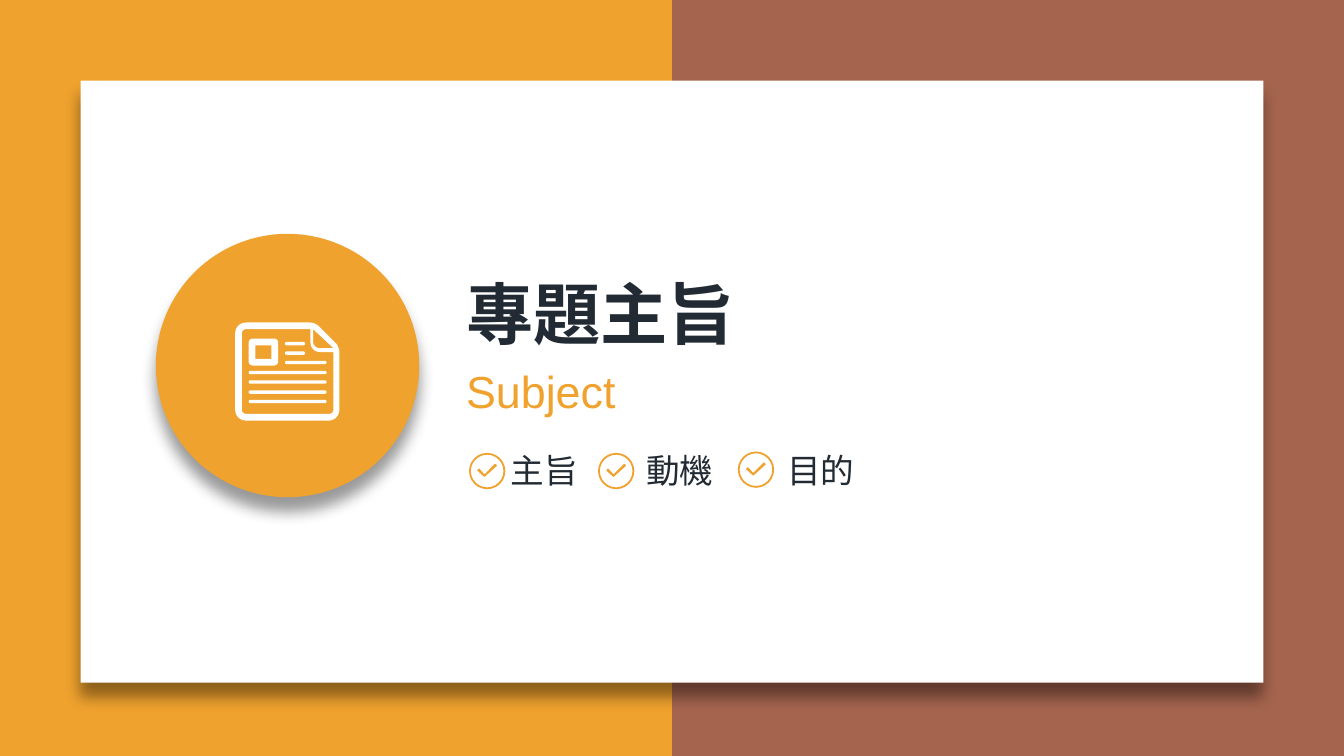
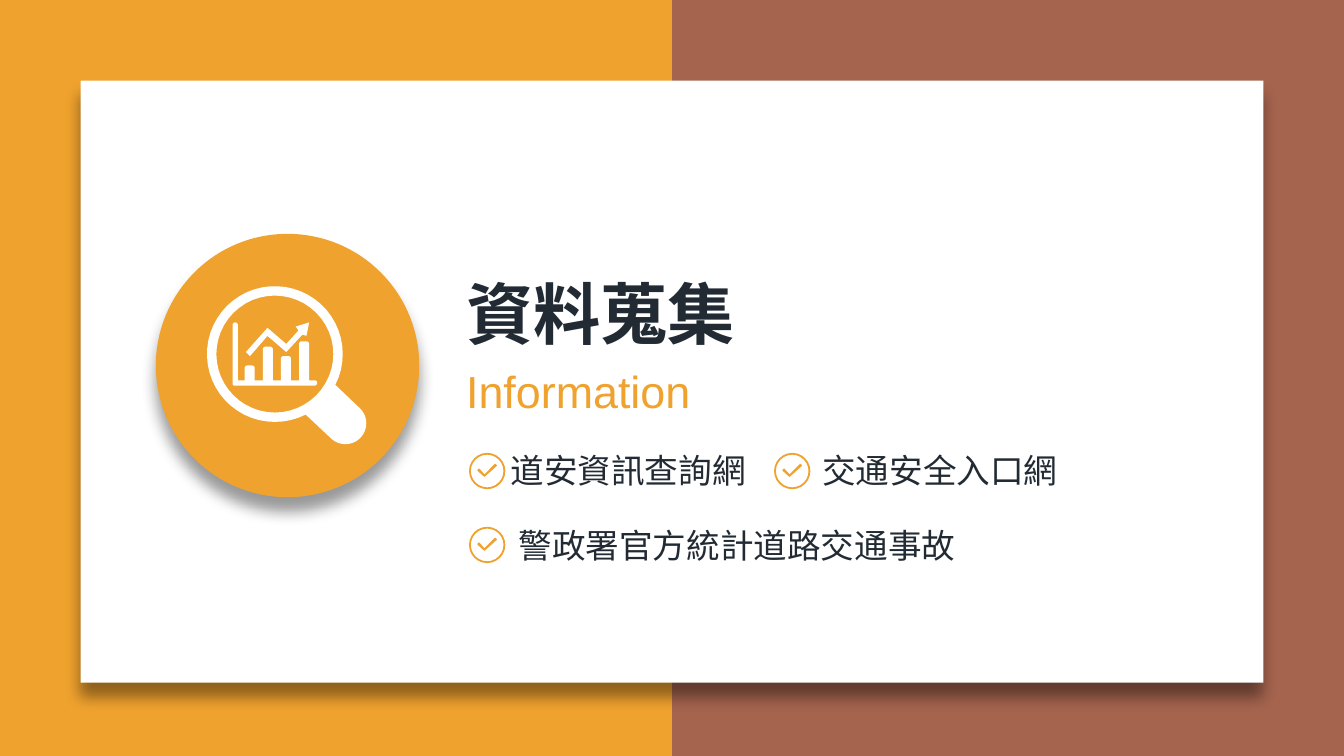
import math

import pptx
import pptx.dml.color
import pptx.enum.shapes
import pptx.enum.text
import pptx.oxml
import pptx.oxml.ns
import pptx.util

PX = 4572
SLIDE_WIDTH, SLIDE_HEIGHT = 2000, 1125

ORANGE = pptx.dml.color.RGBColor(0xF0, 0xA2, 0x2E)
BROWN = pptx.dml.color.RGBColor(0xA5, 0x64, 0x4E)
WHITE = pptx.dml.color.RGBColor(0xFF, 0xFF, 0xFF)
INK = pptx.dml.color.RGBColor(0x22, 0x2B, 0x34)

LATIN_FONT = "Arial"
CHINESE_FONT = "Noto Sans CJK SC"
SHAPES = pptx.enum.shapes.MSO_SHAPE

CARD = (120, 120, 1760, 896)
DISC = (232, 348, 392, 392)
TEXT_LEFT = 674
TITLE_TOP, SUBTITLE_TOP = 396, 532
CHECK_SIZE = 54
ROW_TOPS = (660, 772)

SHADOW = (
    f'<a:outerShdw {pptx.oxml.ns.nsdecls("a")} blurRad="101600" dist="101600" '
    'dir="5400000" algn="t" rotWithShape="0"><a:srgbClr val="000000">'
    '<a:alpha val="40000"/></a:srgbClr></a:outerShdw>'
)


def paint(shape, color, shadow=False):
    """Give a shape a plain fill, no line and, if asked, a soft shadow below."""
    shape.fill.solid()
    shape.fill.fore_color.rgb = color
    shape.line.fill.background()
    shape.shadow.inherit = False
    if shadow:
        effects = shape._element.spPr.find(pptx.oxml.ns.qn("a:effectLst"))
        effects.append(pptx.oxml.parse_xml(SHADOW))


def add_preset(shapes, kind, box, color, shadow=False):
    """Add a painted preset shape in a box given in px."""
    shape = shapes.add_shape(kind, *(length * PX for length in box))
    paint(shape, color, shadow)
    return shape


def add_text(slide, left, top, width, height, text, size, font, color, bold=False):
    """Add a one-line text box that grows with its text."""
    box = slide.shapes.add_textbox(left * PX, top * PX, width * PX, height * PX)
    frame = box.text_frame
    frame.word_wrap = False
    frame.auto_size = pptx.enum.text.MSO_AUTO_SIZE.SHAPE_TO_FIT_TEXT
    run = frame.paragraphs[0].add_run()
    run.text = text
    run.font.size = pptx.util.Pt(size)
    run.font.bold = bold
    run.font.name = font
    run.font.color.rgb = color
    east_asian = pptx.oxml.parse_xml(
        f'<a:ea {pptx.oxml.ns.nsdecls("a")} typeface="{font}"/>'
    )
    run.font._element.append(east_asian)


def arc(center_x, center_y, radius, start, end):
    """Return points along an arc, with angles in degrees running clockwise."""
    steps = 48
    angles = [math.radians(start + (end - start) * i / steps) for i in range(steps + 1)]
    return [
        (center_x + radius * math.cos(angle), center_y + radius * math.sin(angle))
        for angle in angles
    ]


def rounded(corners):
    """Turn (x, y, radius) corners into the points of an outline."""
    points = []
    for index, (x, y, radius) in enumerate(corners):
        if not radius:
            points.append((x, y))
            continue
        ends = []
        for near_x, near_y, _ in (corners[index - 1], corners[(index + 1) % len(corners)]):
            share = radius / math.hypot(near_x - x, near_y - y)
            ends.append(((near_x - x) * share, (near_y - y) * share))
        for step in range(9):
            t = step / 8
            first = (1 - t) ** 3 + 1.35 * t * (1 - t) ** 2
            last = t ** 3 + 1.35 * t ** 2 * (1 - t)
            points.append((
                x + first * ends[0][0] + last * ends[1][0],
                y + first * ends[0][1] + last * ends[1][1],
            ))
    return points


def rectangle(left, top, right, bottom, radius=0):
    """Return the outline of a rectangle with equal corners."""
    return rounded([
        (left, top, radius), (right, top, radius),
        (right, bottom, radius), (left, bottom, radius),
    ])


def add_outline(shapes, left, top, contours, color):
    """Add one freeform made of contours placed relative to left and top."""
    builder = None
    for contour in contours:
        start, *others = [(x * PX, y * PX) for x, y in contour]
        if builder is None:
            builder = shapes.build_freeform(*start, scale=1.0)
        else:
            builder.move_to(*start)
        builder.add_line_segments(others, close=True)
    paint(builder.convert_to_shape(left * PX, top * PX), color)


def add_check(slide, left, top):
    """Draw a ring with a tick inside."""
    group = slide.shapes.add_group_shape()
    ring = add_preset(
        group.shapes, SHAPES.DONUT, (left, top, CHECK_SIZE, CHECK_SIZE), ORANGE
    )
    ring.adjustments[0] = 0.05
    tick = rounded([
        (12, 26, 1), (15, 23, 1), (23, 32, 0), (39, 16, 1), (42, 19, 1), (23, 36, 1),
    ])
    add_outline(group.shapes, left, top, [tick], ORANGE)


def add_document_icon(slide, left=350, top=480):
    """Draw a page with a folded corner, a thumbnail and text lines."""
    shapes = slide.shapes.add_group_shape().shapes
    page = rounded([
        (0, 0, 16), (119, 0, 8), (155, 36, 8), (155, 146, 16), (0, 146, 16),
    ])
    inside = rounded([
        (10, 10, 6), (112, 10, 0), (112, 44, 14),
        (146, 44, 0), (146, 136, 6), (10, 136, 6),
    ])
    flap = rounded([(116, 10, 0), (146, 38, 0), (116, 38, 9)])
    add_outline(shapes, left, top, [page, inside, flap], WHITE)
    thumbnail = [rectangle(20, 24, 64, 64, 6), rectangle(30, 34, 54, 54)]
    add_outline(shapes, left, top, thumbnail, WHITE)
    lines = [(74, 30), (74, 30), (74, 62)] + [(20, 116)] * 4
    for index, (indent, width) in enumerate(lines):
        box = (left + indent, top + 29 + 72 * index // 5, width, 5)
        line = add_preset(shapes, SHAPES.ROUNDED_RECTANGLE, box, WHITE)
        line.adjustments[0] = 0.5


def add_magnifier_icon(slide, left=308, top=426):
    """Draw a magnifying glass over a small bar chart with a rising arrow."""
    body = arc(101, 101, 101, 63, 387) + arc(206, 204, 31, -45, 135)
    lens = arc(101, 101, 87, 0, 360)
    chart = [(38, 54, 4), (46, 54, 4), (46, 140, 0)]
    for index, bar_top in enumerate((118, 90, 104, 82)):
        start = 56 + 27 * index
        end = start + 15
        chart += [(start, 140, 0), (start, bar_top, 4), (end, bar_top, 4), (end, 140, 0)]
    chart += [(164, 140, 4), (164, 148, 4), (38, 148, 3)]
    arrow = [
        (90, 74), (64, 104), (58, 98), (90, 62), (118, 86), (136, 66),
        (132, 60), (152, 54), (148, 74), (142, 72), (118, 98),
    ]
    add_outline(slide.shapes, left, top, [body, lens, rounded(chart), arrow], WHITE)


def add_item(slide, text, row, check_left, check_drop, text_left):
    """Add a check and its label on one of the rows."""
    top = ROW_TOPS[row]
    add_check(slide, check_left, top + check_drop)
    width = 50 * len(text) + 40
    add_text(slide, text_left, top, width, 80, text, 18, CHINESE_FONT, INK)


def add_section_slide(presentation, title, subtitle, subtitle_width, items, add_icon):
    """Build a section slide: split backdrop, card, icon disc, headings and items."""
    slide = presentation.slides.add_slide(presentation.slide_layouts[6])
    half = (0, 0, SLIDE_WIDTH // 2, SLIDE_HEIGHT)
    add_preset(slide.shapes, SHAPES.RECTANGLE, half, ORANGE)
    add_preset(slide.shapes, SHAPES.RECTANGLE, CARD, WHITE, shadow=True)
    add_preset(slide.shapes, SHAPES.OVAL, DISC, ORANGE, shadow=True)
    add_text(
        slide, TEXT_LEFT, TITLE_TOP, 444, 142, title, 36, CHINESE_FONT, INK, bold=True
    )
    add_text(
        slide, TEXT_LEFT, SUBTITLE_TOP, subtitle_width, 100,
        subtitle, 24, LATIN_FONT, ORANGE,
    )
    for item in items:
        add_item(slide, *item)
    add_icon(slide)


def main():
    """Build both section slides and save them."""
    presentation = pptx.Presentation()
    presentation.slide_width = SLIDE_WIDTH * PX
    presentation.slide_height = SLIDE_HEIGHT * PX
    backdrop = presentation.slide_master.background.fill
    backdrop.solid()
    backdrop.fore_color.rgb = BROWN

    subject_items = [
        ("主旨", 0, 698, 14, 740),
        ("動機", 0, 890, 14, 942),
        ("目的", 0, 1098, 12, 1152),
    ]
    information_items = [
        ("道安資訊查詢網", 0, 698, 14, 740),
        ("交通安全入口網", 0, 1152, 14, 1204),
        ("警政署官方統計道路交通事故", 1, 698, 12, 752),
    ]
    add_section_slide(
        presentation, "專題主旨", "Subject", 266, subject_items, add_document_icon
    )
    add_section_slide(
        presentation, "資料蒐集", "Information", 378, information_items, add_magnifier_icon
    )
    presentation.save("out.pptx")


if __name__ == "__main__":
    main()
